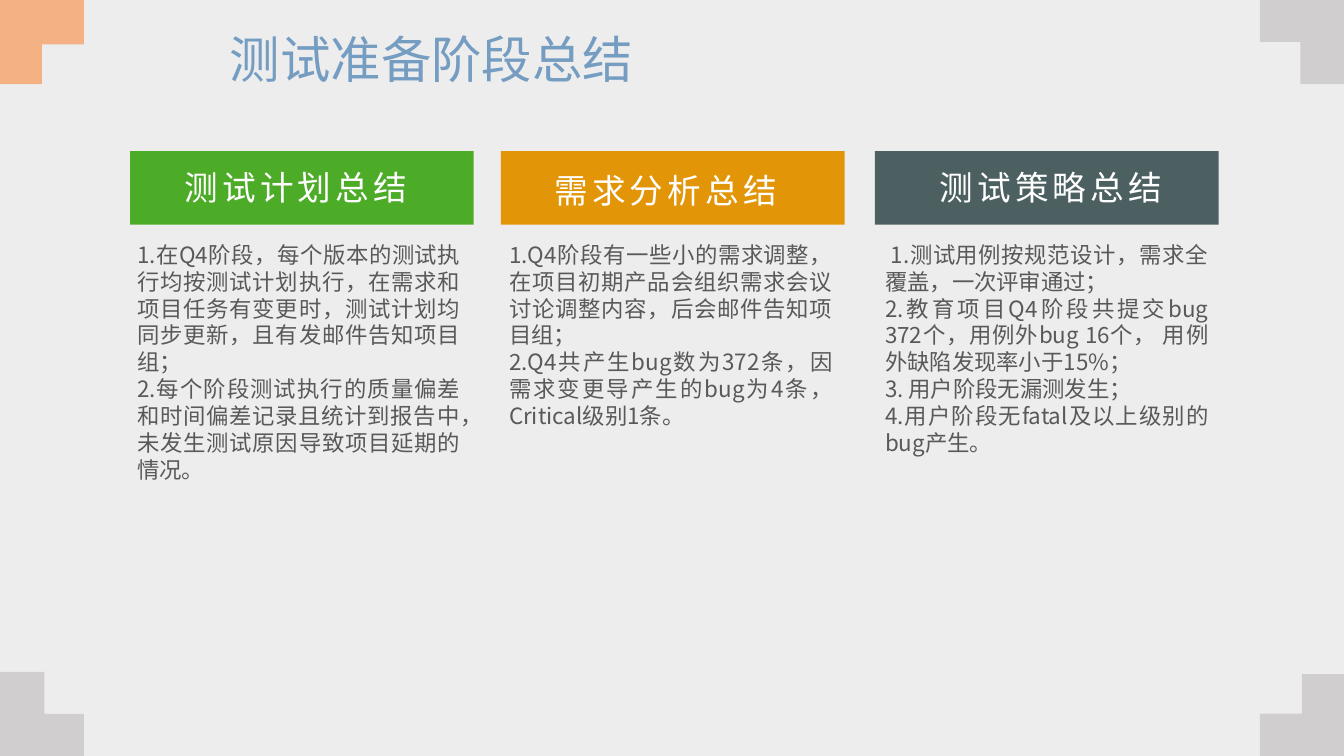
from pptx import Presentation
from pptx import util as u
from pptx.dml.color import RGBColor
from pptx.enum import shapes, text
from pptx.oxml.ns import qn
from lxml import etree

PAPER = RGBColor(0xED, 0xED, 0xED)
GREY = RGBColor(0xD0, 0xCE, 0xCE)
PEACH = RGBColor(0xF4, 0xB1, 0x83)
GREEN = RGBColor(0x4C, 0xAB, 0x27)
AMBER = RGBColor(0xE3, 0x95, 0x08)
SLATE = RGBColor(0x4C, 0x60, 0x62)
BLUE = RGBColor(0x75, 0x9D, 0xC2)
INK = RGBColor(0x59, 0x59, 0x59)
WHITE = RGBColor(0xFF, 0xFF, 0xFF)

COLS, ROWS = 80, 45
ARM = 5
BAR_TOP, BAR_WIDE, BAR_HIGH = 9, 20.46, 4.38
LIST_TOP = 14.04

# corner column and row, inward directions, arm widths, colour
CORNERS = [
    (0, ROWS, 1, -1, 2.64, 2.5, GREY),
    (0, 0, 1, 1, 2.5, 2.64, PEACH),
    (COLS, 0, -1, 1, 2.6, 2.5, GREY),
    (COLS, 45.12, -1, -1, 2.5, 2.64, GREY),
]

# bar column, colour, label, label column and row, list column and height, items
TOPICS = [
    (7.74, GREEN, "测试计划总结", 10.2, 9.66, 7.56, 15.12, [
        "1.在Q4阶段，每个版本的测试执行均按测试计划执行，在需求和项目任务有变更时，"
        "测试计划均同步更新，且有发邮件告知项目组；",
        "2.每个阶段测试执行的质量偏差和时间偏差记录且统计到报告中，"
        "未发生测试原因导致项目延期的情况。"]),
    (29.82, AMBER, "需求分析总结", 32.22, 9.84, 29.7, 11.94, [
        "1.Q4阶段有一些小的需求调整，在项目初期产品会组织需求会议讨论调整内容，"
        "后会邮件告知项目组；",
        "2.Q4共产生bug数为372条，因需求变更导产生的bug为4条，Critical级别1条。"]),
    (52.08, SLATE, "测试策略总结", 55.14, 9.66, 52.08, 13.56, [
        " 1.测试用例按规范设计，需求全覆盖，一次评审通过；",
        "2.教育项目Q4阶段共提交bug 372个，用例外bug 16个， 用例外缺陷发现率小于15%；",
        "3. 用户阶段无漏测发生；",
        "4.用户阶段无fatal及以上级别的bug产生。"]),
]


class Deck:
    """Draws on one slide, with lengths in grid columns and rows."""

    font = "Noto Sans CJK SC"

    def __init__(self):
        self.file = Presentation()
        self.file.slide_width = u.Inches(13.33)
        self.file.slide_height = u.Inches(7.5)
        self.slide = self.file.slides.add_slide(self.file.slide_layouts[4])
        fill = self.slide.background.fill
        fill.solid()
        fill.fore_color.rgb = PAPER
        self.spare = [p for p in self.slide.placeholders
                      if p.placeholder_format.idx]

    def x(self, col):
        return round(self.file.slide_width * col / COLS)

    def y(self, row):
        return round(self.file.slide_height * row / ROWS)

    def box(self, col, row, wide, high):
        return self.x(col), self.y(row), self.x(wide), self.y(high)

    def move(self, shape, *area):
        shape.left, shape.top, shape.width, shape.height = self.box(*area)

    def paint(self, shape, color):
        shape.shadow.inherit = False
        shape.fill.solid()
        shape.fill.fore_color.rgb = color
        shape.line.fill.background()

    def set_text(self, shape, lines, size, color, align, lead=1.0, gap=0):
        """Fill a shape with plain paragraphs; gap is letter spacing in points."""
        frame = shape.text_frame
        frame.text = "\n".join(lines)
        for para in frame.paragraphs:
            para.alignment = align
            para.line_spacing = lead
            para.space_before = para.space_after = u.Pt(0)
            props = para._p.get_or_add_pPr()
            props.set("marL", "0")
            props.set("indent", "0")
            etree.SubElement(props, qn("a:buNone"))
            for run in para.runs:
                run.font.size = u.Pt(size)
                run.font.bold = False
                run.font.color.rgb = color
                run.font.name = self.font
                mark = run._r.get_or_add_rPr()
                etree.SubElement(mark, qn("a:ea")).set("typeface", self.font)
                if gap:
                    mark.set("spc", str(gap * 100))
        return frame

    def corner(self, col, row, right, down, wide, high, color):
        steps = [(0, 0), (ARM, 0), (ARM, high), (wide, high), (wide, ARM), (0, ARM)]
        dots = [(self.x(col + right * a), self.y(row + down * b)) for a, b in steps]
        edge = self.slide.shapes.build_freeform(*dots[0])
        edge.add_line_segments(dots[1:], close=True)
        self.paint(edge.convert_to_shape(), color)

    def bar(self, col, color):
        area = self.box(col, BAR_TOP, BAR_WIDE, BAR_HIGH)
        kind = shapes.MSO_SHAPE.RECTANGLE
        self.paint(self.slide.shapes.add_shape(kind, *area), color)

    def label(self, col, row, words):
        shape = self.slide.shapes.add_textbox(*self.box(col, row, 14.82, 3))
        frame = self.set_text(shape, [words], 24, WHITE, text.PP_ALIGN.CENTER, gap=3)
        frame.word_wrap = False

    def list(self, col, high, items):
        shape = self.spare.pop(0)
        self.move(shape, col, LIST_TOP, BAR_WIDE, high)
        frame = self.set_text(shape, items, 16, INK, text.PP_ALIGN.JUSTIFY)
        frame.vertical_anchor = text.MSO_ANCHOR.TOP
        frame.auto_size = text.MSO_AUTO_SIZE.SHAPE_TO_FIT_TEXT

    def title(self, words):
        shape = self.slide.shapes.title
        self.move(shape, 13.08, 1.68, 53.88, 4.02)
        frame = self.set_text(shape, [words], 36, BLUE, text.PP_ALIGN.LEFT, lead=0.9)
        frame.vertical_anchor = text.MSO_ANCHOR.MIDDLE
        frame.auto_size = text.MSO_AUTO_SIZE.NONE

    def save(self):
        for shape in self.spare:
            shape._element.getparent().remove(shape._element)
        self.file.save("out.pptx")


def main():
    deck = Deck()
    for corner in CORNERS:
        deck.corner(*corner)
    deck.title("测试准备阶段总结")
    for col, color, name, left, top, start, high, items in TOPICS:
        deck.bar(col, color)
        deck.label(left, top, name)
        deck.list(start, high, items)
    deck.save()


if __name__ == "__main__":
    main()
